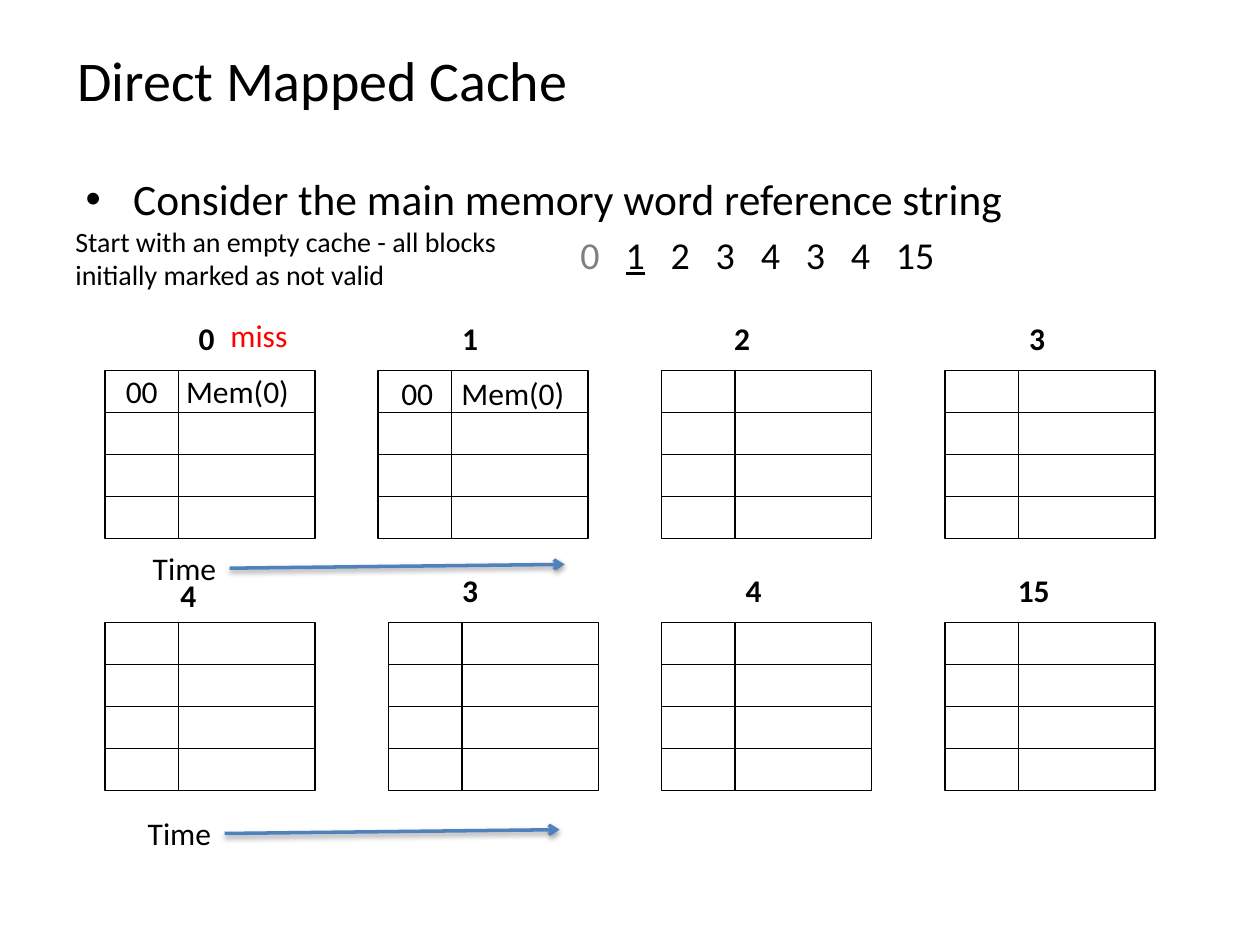
from dataclasses import dataclass

from lxml import etree
from pptx import Presentation
from pptx.dml.color import RGBColor
from pptx.enum.shapes import MSO_CONNECTOR, MSO_SHAPE
from pptx.enum.text import MSO_ANCHOR
from pptx.oxml.ns import qn
from pptx.util import Pt

STRAIGHT = MSO_CONNECTOR.STRAIGHT
RECTANGLE = MSO_SHAPE.RECTANGLE
MIDDLE = MSO_ANCHOR.MIDDLE


@dataclass(frozen=True)
class Theme:
    """Colours, font and type sizes of the slide."""
    font: str = "Calibri"
    ink: RGBColor = RGBColor(0, 0, 0)
    done: RGBColor = RGBColor(0x80, 0x80, 0x80)
    miss: RGBColor = RGBColor(0xFF, 0, 0)
    arrow: RGBColor = RGBColor(0x4F, 0x81, 0xBD)
    title: float = 32
    bullet: float = 24.8
    reference: float = 21.7
    label: float = 18
    note: float = 16


@dataclass(frozen=True)
class CacheState:
    """One step of the cache: grid corner, label offset and contents."""
    reference: str
    left: float
    top: float
    label_x: float
    label_y: float = -33.2
    entry: str = ""
    entry_x: float = 0
    entry_y: float = 0
    result: str = ""


THEME = Theme()
ROWS = 4
ROW_HEIGHT = 24
TAG_WIDTH = 42
DATA_WIDTH = 78
LABEL_PADDING = 14.4
DIGIT_WIDTH = 10.1
ENTRY_TAB = 34.4
REFERENCE_PITCH = 25.75
REFERENCES = ["0", "1", "2", "3", "4", "3", "4", "15"]
CURRENT = 1
FIRST_TOP = 211.75
SECOND_TOP = 355.75
STATES = [
    CacheState("0", 60, FIRST_TOP, 46.5, entry="00\tMem(0)",
               entry_x=4.8, entry_y=-2.9, result="miss"),
    CacheState("1", 216, FIRST_TOP, 41, entry="00\tMem(0)",
               entry_x=6.2, entry_y=-1.5),
    CacheState("2", 378, FIRST_TOP, 34.5),
    CacheState("3", 540, FIRST_TOP, 41),
    CacheState("4", 60, SECOND_TOP, 36, label_y=-30.4),
    CacheState("3", 222, SECOND_TOP, 35),
    CacheState("4", 378, SECOND_TOP, 41),
    CacheState("15", 540, SECOND_TOP, 34.5),
]


def add_text(slide, text, left, top, width, height, size,
             color=THEME.ink, bold=False, wrap=True):
    """Add a one-paragraph text box and return its shape."""
    shape = slide.shapes.add_textbox(Pt(left), Pt(top), Pt(width), Pt(height))
    frame = shape.text_frame
    frame.word_wrap = wrap
    frame.text = text
    for run in frame.paragraphs[0].runs:
        font = run.font
        font.name, font.size, font.bold = THEME.font, Pt(size), bold
        font.color.rgb = color
    return shape


def set_tabs(paragraph, positions):
    """Give a paragraph left tab stops."""
    properties = paragraph._p.get_or_add_pPr()
    tabs = etree.SubElement(properties, qn("a:tabLst"))
    for position in positions:
        etree.SubElement(tabs, qn("a:tab"), pos=str(Pt(position)), algn="l")


def add_line(shapes, start, end, color, width):
    """Add a straight line without shadow and return it."""
    line = shapes.add_connector(STRAIGHT, *map(Pt, (*start, *end)))
    line.line.color.rgb = color
    line.line.width = Pt(width)
    etree.SubElement(line._element.spPr, qn("a:effectLst"))
    return line


def add_column(slide, left, top, width):
    """Add one grouped column of cache cells."""
    shapes = slide.shapes.add_group_shape().shapes
    frame = shapes.add_shape(RECTANGLE, Pt(left), Pt(top),
                             Pt(width), Pt(ROWS * ROW_HEIGHT))
    frame.shadow.inherit = False
    frame.fill.background()
    frame.line.color.rgb = THEME.ink
    frame.line.width = Pt(1)
    for row in range(1, ROWS):
        y = top + row * ROW_HEIGHT
        add_line(shapes, (left, y), (left + width, y), THEME.ink, 1)


def add_cache_state(slide, state):
    """Add one cache grid with its reference, entry and result."""
    left, top = state.left, state.top
    add_column(slide, left, top, TAG_WIDTH)
    add_column(slide, left + TAG_WIDTH, top, DATA_WIDTH)
    add_text(slide, state.reference, left + state.label_x, top + state.label_y,
             LABEL_PADDING + DIGIT_WIDTH * len(state.reference), 29,
             THEME.label, bold=True, wrap=False)
    if state.entry:
        entry = add_text(slide, state.entry, left + state.entry_x,
                         top + state.entry_y, 116.6, 29, THEME.label)
        set_tabs(entry.text_frame.paragraphs[0], [ENTRY_TAB])
    if state.result:
        add_text(slide, state.result, left + 64.6, top - 34.6, 47.5, 29,
                 THEME.label, THEME.miss, wrap=False)


def add_time_arrow(slide, left, top):
    """Add the word Time and a shadowed arrow to its right."""
    add_text(slide, "Time", left, top, 51, 29, THEME.label, wrap=False)
    arrow = add_line(slide.shapes, (left + 51, top + 14.7),
                     (left + 242.5, top + 12.5), THEME.arrow, 2)
    properties = arrow._element.spPr
    etree.SubElement(properties.find(qn("a:ln")), qn("a:tailEnd"), type="arrow")
    effects = properties.find(qn("a:effectLst"))
    shadow = etree.SubElement(effects, qn("a:outerShdw"), blurRad=str(Pt(3.1)),
                              dist=str(Pt(1.6)), dir="5400000", rotWithShape="0")
    color = etree.SubElement(shadow, qn("a:srgbClr"), val=str(THEME.ink))
    etree.SubElement(color, qn("a:alpha"), val="38000")


def add_reference_string(slide, left, top):
    """Add the word references on even tab stops, with the current one marked."""
    shape = add_text(slide, "", left, top, 240, 27, THEME.reference)
    frame = shape.text_frame
    frame.margin_left = frame.margin_top = frame.margin_right = frame.margin_bottom = 0
    paragraph = frame.paragraphs[0]
    set_tabs(paragraph, [REFERENCE_PITCH * i for i in range(1, len(REFERENCES))])
    for index, reference in enumerate(REFERENCES):
        pieces = [reference] if index == 0 else ["\t", reference]
        for piece in pieces:
            run = paragraph.add_run()
            run.text = piece
            run.font.name, run.font.size = THEME.font, Pt(THEME.reference)
            run.font.color.rgb = THEME.done if index < CURRENT else THEME.ink
            run.font.underline = index == CURRENT and piece == reference


def add_introduction(slide, left, top):
    """Add the title, bullet, reference string and starting note."""
    title = add_text(slide, "Direct Mapped Cache", left + 1, top, 648, 90, THEME.title)
    title.text_frame.vertical_anchor = MIDDLE
    bullet = add_text(slide, "Consider the main memory word reference string",
                      left + 5.8, top + 94.9, 618, 38, THEME.bullet)
    properties = bullet.text_frame.paragraphs[0]._p.get_or_add_pPr()
    properties.set("marL", str(Pt(27.2)))
    properties.set("indent", str(Pt(-27.2)))
    etree.SubElement(properties, qn("a:buFont"), typeface="Arial")
    etree.SubElement(properties, qn("a:buChar"), char="•")
    add_reference_string(slide, left + 295.7, top + 132.5)
    add_text(slide, "Start with an empty cache - all blocks initially marked as not valid",
             left, top + 124.6, 270, 46, THEME.note)


def main():
    """Build and save the slide."""
    presentation = Presentation()
    presentation.slide_width, presentation.slide_height = Pt(720), Pt(540)
    slide = presentation.slides.add_slide(presentation.slide_layouts[6])
    add_introduction(slide, 36, 0)
    for state in STATES:
        add_cache_state(slide, state)
    add_time_arrow(slide, 80.2, 310)
    add_time_arrow(slide, 77.3, 461.6)
    presentation.save("out.pptx")


if __name__ == "__main__":
    main()
